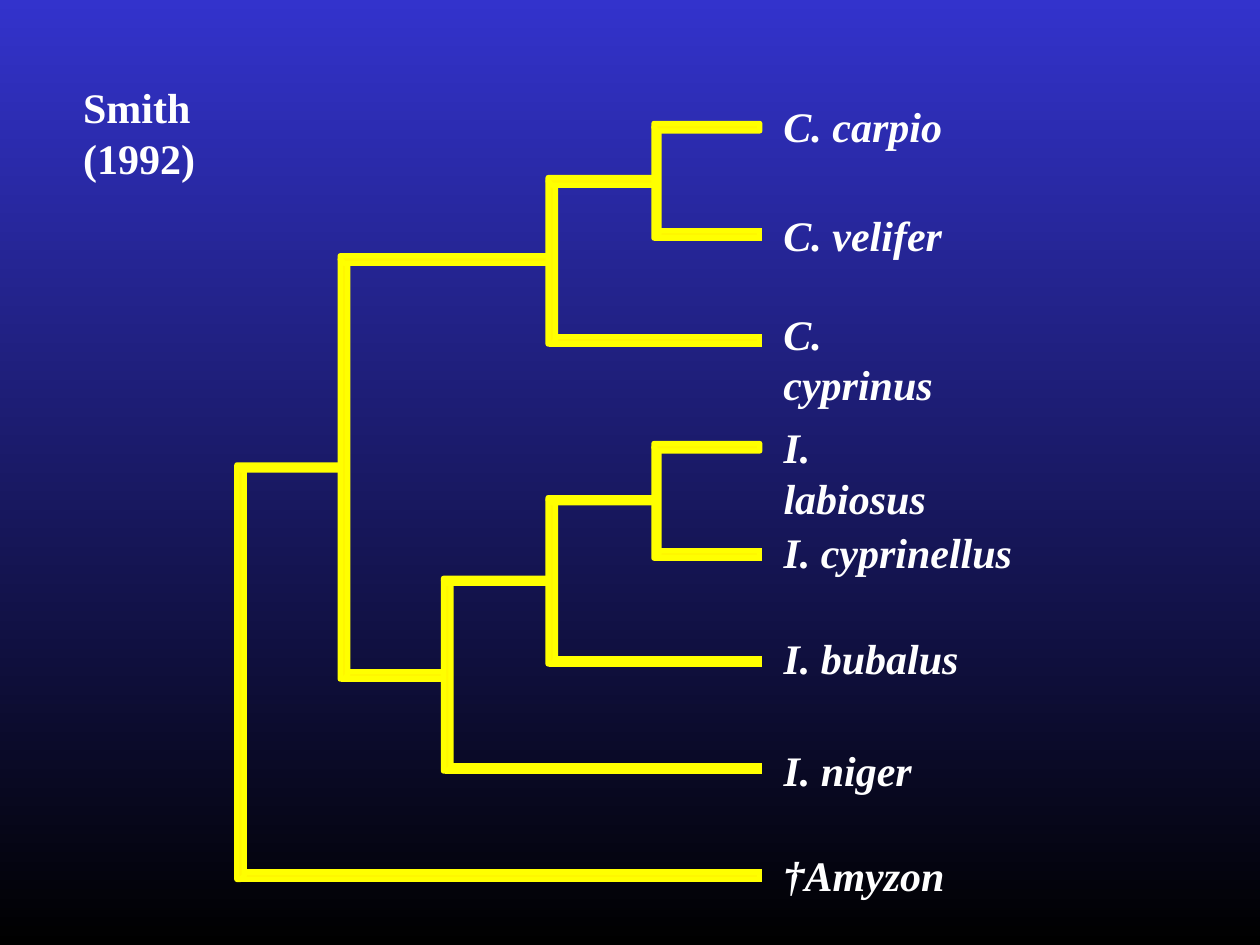
"""Build a slide with a cladogram of eight fish taxa after Smith (1992)."""
import pptx
import pptx.dml.color
import pptx.enum.text
import pptx.oxml.ns
import pptx.util
from lxml import etree
from pptx.util import Inches


def paint(shape, fill="FFF700", line="FFFF00"):
    shape.shadow.inherit = False
    shape.fill.solid()
    shape.fill.fore_color.rgb = pptx.dml.color.RGBColor.from_string(fill)
    shape.line.color.rgb = pptx.dml.color.RGBColor.from_string(line)
    shape.line.width = pptx.util.Pt(3)


def write(box, text, left, top, width, italic=False, color="FFFFFF"):
    box.left, box.top = Inches(left), Inches(top)
    box.width, box.height = Inches(width), Inches(0.5)
    frame = box.text_frame
    frame.word_wrap = False
    frame.auto_size = pptx.enum.text.MSO_AUTO_SIZE.SHAPE_TO_FIT_TEXT
    frame.vertical_anchor = pptx.enum.text.MSO_ANCHOR.TOP
    para = frame.paragraphs[0]
    para.alignment = pptx.enum.text.PP_ALIGN.LEFT
    span = para.add_run()
    span.text = text
    span.font.name = "Times New Roman"
    span.font.size = pptx.util.Pt(24)
    span.font.bold = True
    span.font.italic = italic
    span.font.color.rgb = pptx.dml.color.RGBColor.from_string(color)


deck = pptx.Presentation()
deck.slide_width, deck.slide_height = Inches(10), Inches(7.5)
page = deck.slides.add_slide(deck.slide_layouts[5])

background = page.background.fill
background.gradient()
background.gradient_angle = 270
for stop, position, color in zip(background.gradient_stops, (0, 1), ("3333CC", "000000")):
    stop.position = position
    stop.color.rgb = pptx.dml.color.RGBColor.from_string(color)

write(page.shapes.title, "Smith (1992)", 0.56, 0.6, 2.02)

tip = 6.03
# Each clade: stem left and width, then top, height and right end of both branches.
clades = [
    (1.88, 0.06, (3.69, 0.04, 2.73), (6.92, 0.06, tip)),
    (2.7, 0.06, (2.03, 0.06, 4.38), (5.33, 0.06, 3.55)),
    (3.52, 0.06, (4.59, 0.04, 4.38), (6.08, 0.04, tip)),
    (4.35, 0.06, (3.95, 0.04, 5.2), (5.23, 0.04, tip)),
    (5.19, 0.04, (3.52, 0.06, tip), (4.37, 0.06, tip)),
    (4.35, 0.06, (1.41, 0.06, 5.2), (2.67, 0.06, tip)),
    (5.19, 0.04, (0.98, 0.06, tip), (1.83, 0.06, tip)),
]
for left, width, upper, lower in clades:
    middle, right = left + width / 2, left + width
    top, thickness, upper_end = upper
    joint, upper_base = top + thickness / 2, top + thickness
    lower_top, lower_height, lower_end = lower
    base = lower_top + lower_height

    branch = page.shapes.add_shape(
        pptx.enum.shapes.MSO_SHAPE.RECTANGLE, Inches(middle), Inches(lower_top),
        Inches(lower_end - middle), Inches(lower_height))
    paint(branch)
    outline = branch.line._get_or_add_ln()
    etree.SubElement(outline, pptx.oxml.ns.qn("a:miter"), lim="800000")

    stem = [(left, base), (left, base - 0.03), (left, joint), (right, joint),
            (right, base - 0.03), (middle, base)]
    arm = [(left, top), (middle, top), (upper_end, top), (upper_end, upper_base),
           (middle, upper_base), (left, joint)]
    for corners in (stem, arm):
        points = [(Inches(x), Inches(y)) for x, y in corners]
        builder = page.shapes.build_freeform(*points[0])
        builder.add_line_segments(points[1:], close=True)
        paint(builder.convert_to_shape())

taxa = [
    ("C. carpio", 0.75, 1.46),
    ("C. velifer", 1.61, 1.46),
    ("C. cyprinus", 2.4, 1.77),
    ("I. labiosus", 3.3, 1.62),
    ("I. cyprinellus", 4.13, 2.55),
    ("I. bubalus", 4.97, 1.59),
    ("I. niger", 5.86, 1.22),
    ("†Amyzon", 6.69, 1.48),
]
for name, top, width in taxa:
    box = page.shapes.add_textbox(0, 0, 0, 0)
    write(box, name, 6.12, top, width, italic=True)
    box.text_frame.word_wrap = name == "I. cyprinellus"

deck.save("out.pptx")
